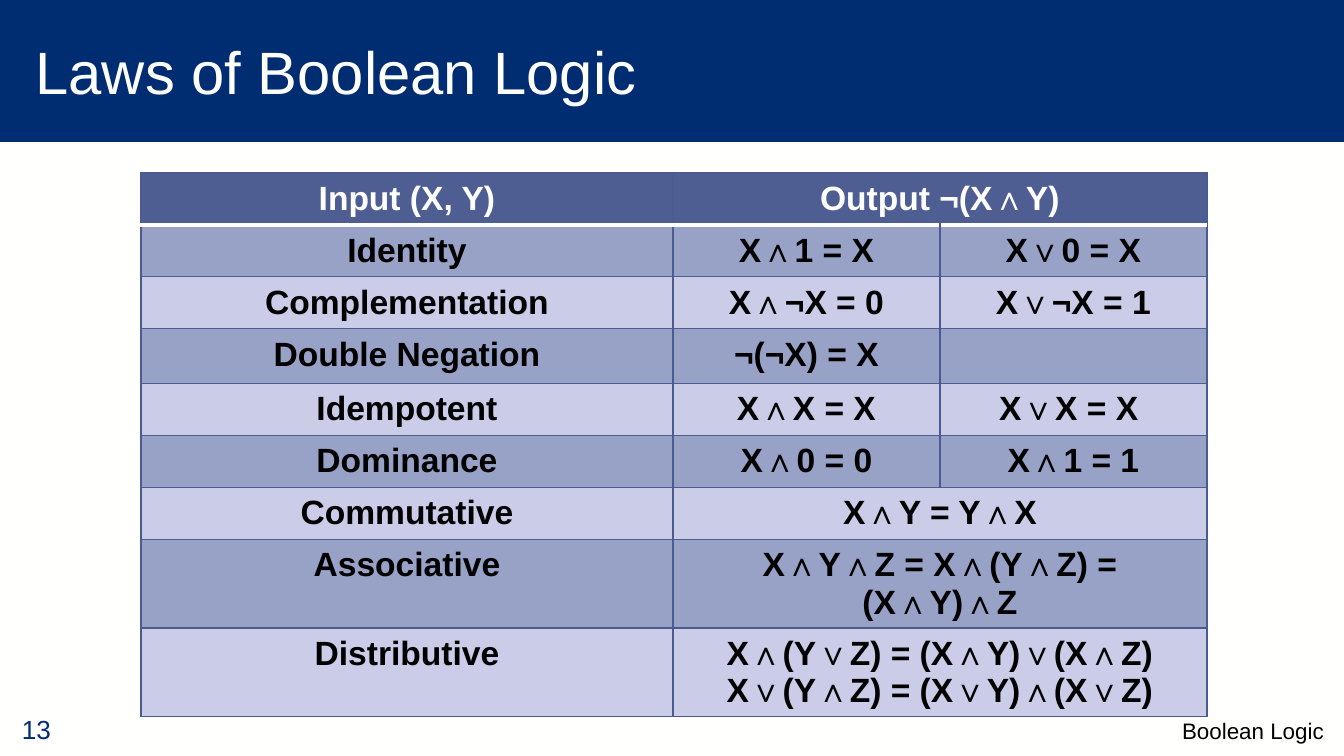
from lxml.etree import SubElement
from pptx import Presentation
from pptx.dml.color import RGBColor
from pptx.enum.shapes import MSO_SHAPE
from pptx.enum.text import MSO_ANCHOR, PP_ALIGN
from pptx.oxml.ns import qn
from pptx.util import Pt

PIXEL = 914400 / 134.4
COLORS = {
    "paper": "FFFFFE", "navy": "002D72", "ink": "000000", "header": "4E5E92",
    "dark_band": "98A1C6", "light_band": "CACCE8", "border": "4B5B90",
}
COLUMN_WIDTHS = [532, 267, 267]
ROW_HEIGHT, TALL_ROW_HEIGHT = 52, 88
# A row with one formula after its name spans both formula columns.
LAWS = [
    ("Input (X, Y)", "Output ¬(X∧Y)"),
    ("Identity", "X∧1 = X", "X∨0 = X"),
    ("Complementation", "X∧¬X = 0", "X∨¬X = 1"),
    ("Double Negation", "¬(¬X) = X", ""),
    ("Idempotent", "X∧X = X", "X∨X = X\u00a0"),
    ("Dominance", "X∧0 = 0", "X∧1 = 1"),
    ("Commutative", "X∧Y = Y∧X"),
    ("Associative", "X∧Y∧Z = X∧(Y∧Z) = (X∧Y)∧Z"),
    ("Distributive", "X∧(Y∨Z) = (X∧Y)∨(X∧Z)\nX∨(Y∧Z) = (X∨Y)∧(X∨Z)"),
]
TALL_ROWS = ("Associative", "Distributive")


def emu(pixels):
    """Turn pixels into EMU."""
    return round(pixels * PIXEL)


def color(name):
    """Look up a named colour."""
    return RGBColor.from_string(COLORS[name])


def write(frame, text, size=18, ink="ink", bold=False, align=PP_ALIGN.LEFT):
    """Fill a text frame with one formatted paragraph per line of text."""
    frame.text = text
    frame.word_wrap = True
    for para in frame.paragraphs:
        para.alignment = align
        para.font.size = Pt(size)
        for span in para.runs:
            span.font.name = "Arial"
            span.font.size = Pt(size)
            span.font.bold = bold
            span.font.color.rgb = color(ink)


def add_heading(page, box, text):
    """Draw the banner in the box and set the title over it."""
    left, top, width, height = box
    banner = page.shapes.add_shape(MSO_SHAPE.RECTANGLE, *map(emu, box))
    banner.shadow.inherit = False
    banner.fill.solid()
    banner.fill.fore_color.rgb = color("navy")
    banner.line.fill.background()
    title = page.shapes.title
    page.shapes._spTree.append(title._element)
    title.left, title.top = emu(left + 22), emu(top + 8)
    title.width, title.height = emu(width - 42), emu(height - 16)
    write(title.text_frame, text, size=32, ink="paper")
    title.text_frame.vertical_anchor = MSO_ANCHOR.MIDDLE


def add_footer_text(page, box, text, **style):
    """Place a footer text without insets at the bottom of the box."""
    frame = page.shapes.add_textbox(*map(emu, box)).text_frame
    frame.margin_left = frame.margin_right = 0
    frame.margin_top = frame.margin_bottom = 0
    frame.vertical_anchor = MSO_ANCHOR.BOTTOM
    write(frame, text, **style)


def set_border(cell, side, name, width):
    """Draw one side (L, R, T or B) of a cell."""
    line = SubElement(cell._tc.get_or_add_tcPr(), qn(f"a:ln{side}"), w=str(Pt(width)))
    fill = SubElement(line, qn("a:solidFill"))
    SubElement(fill, qn("a:srgbClr"), val=COLORS[name])


def format_cell(cell, row):
    """Give a cell the borders and band colour of its row."""
    for side in "LRTB":
        under_header = (row, side) in ((0, "B"), (1, "T"))
        set_border(cell, side, *(("paper", 2) if under_header else ("border", 0.75)))
    band = "header" if row == 0 else "dark_band" if row % 2 else "light_band"
    cell.fill.solid()
    cell.fill.fore_color.rgb = color(band)


def add_law_table(page, left, top):
    """Build the table of laws from its top left corner."""
    heights = [TALL_ROW_HEIGHT if law[0] in TALL_ROWS else ROW_HEIGHT for law in LAWS]
    size = (sum(COLUMN_WIDTHS), sum(heights))
    table = page.shapes.add_table(len(LAWS), len(COLUMN_WIDTHS),
                                  *map(emu, (left, top, *size))).table
    table.horz_banding = False
    for column, width in zip(table.columns, COLUMN_WIDTHS):
        column.width = emu(width)
    for row, (law, height) in enumerate(zip(LAWS, heights)):
        table.rows[row].height = emu(height)
        for cell in table.rows[row].cells:
            format_cell(cell, row)
        if len(law) == 2:
            table.cell(row, 1).merge(table.cell(row, 2))
        for column, text in enumerate(law):
            write(table.cell(row, column).text_frame, text, bold=True,
                  ink="ink" if row else "paper", align=PP_ALIGN.CENTER)


def build_slide(deck):
    """Add the slide with its heading, table and footer."""
    page = deck.slides.add_slide(deck.slide_layouts[5])
    page.background.fill.solid()
    page.background.fill.fore_color.rgb = color("paper")
    add_heading(page, (0, 0, 1344, 142), "Laws of Boolean Logic")
    add_law_table(page, 141, 173)
    add_footer_text(page, (22, 704, 82, 41), "13", size=14, ink="navy")
    add_footer_text(page, (129, 703, 1195, 41), "Boolean Logic", size=12,
                    align=PP_ALIGN.RIGHT)


deck = Presentation()
deck.slide_width, deck.slide_height = emu(1344), emu(756)
build_slide(deck)
deck.save("out.pptx")
